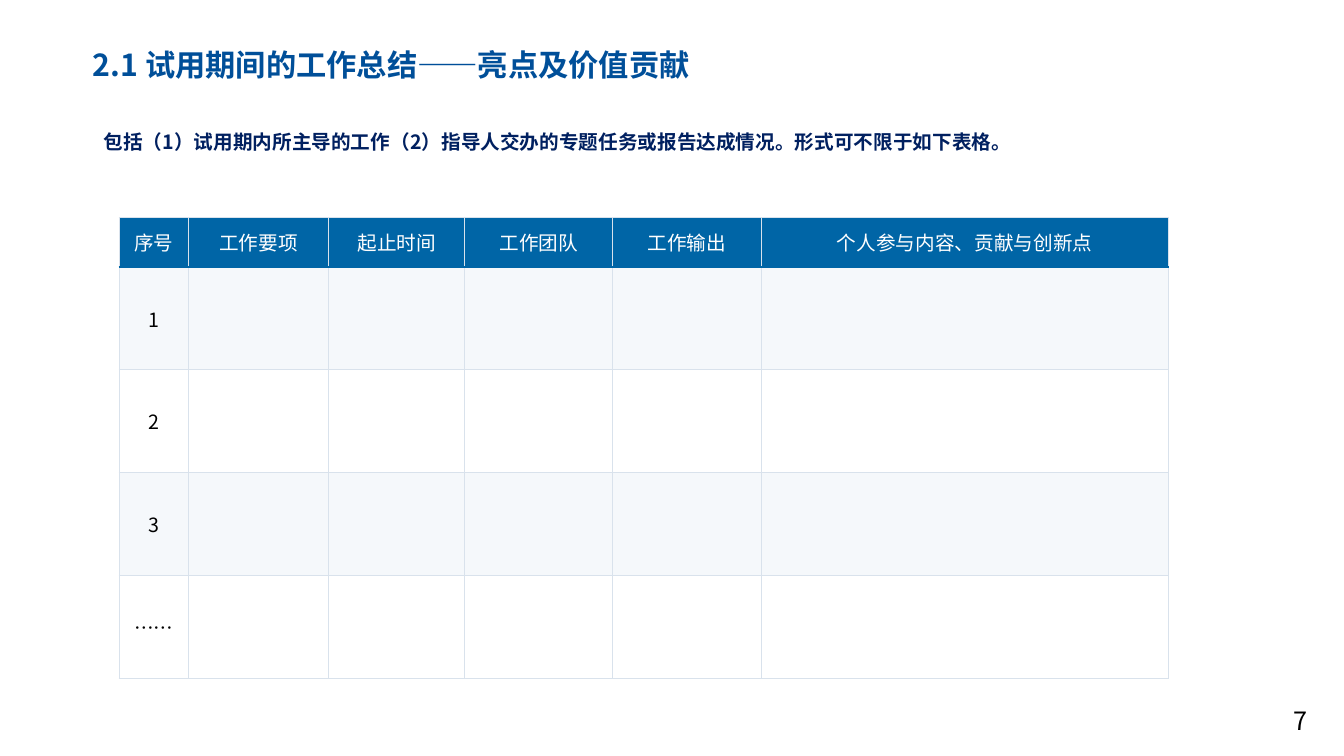
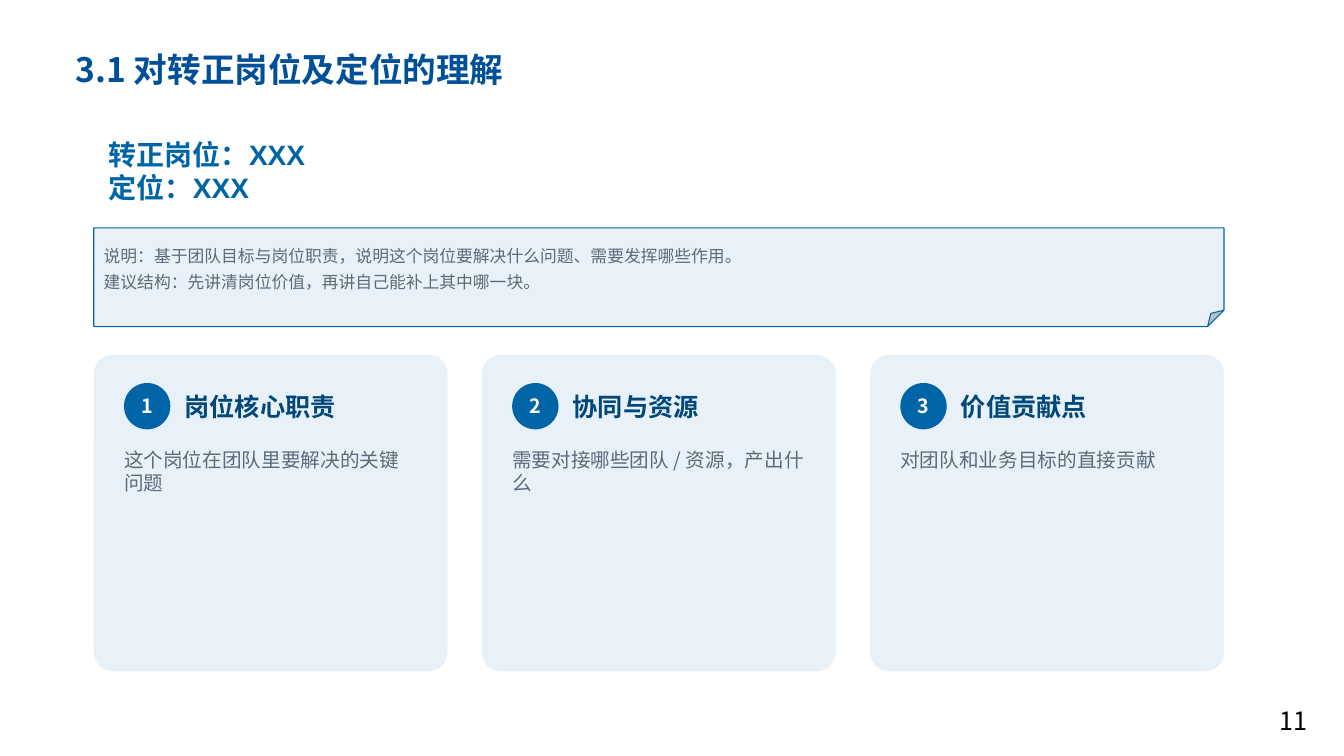
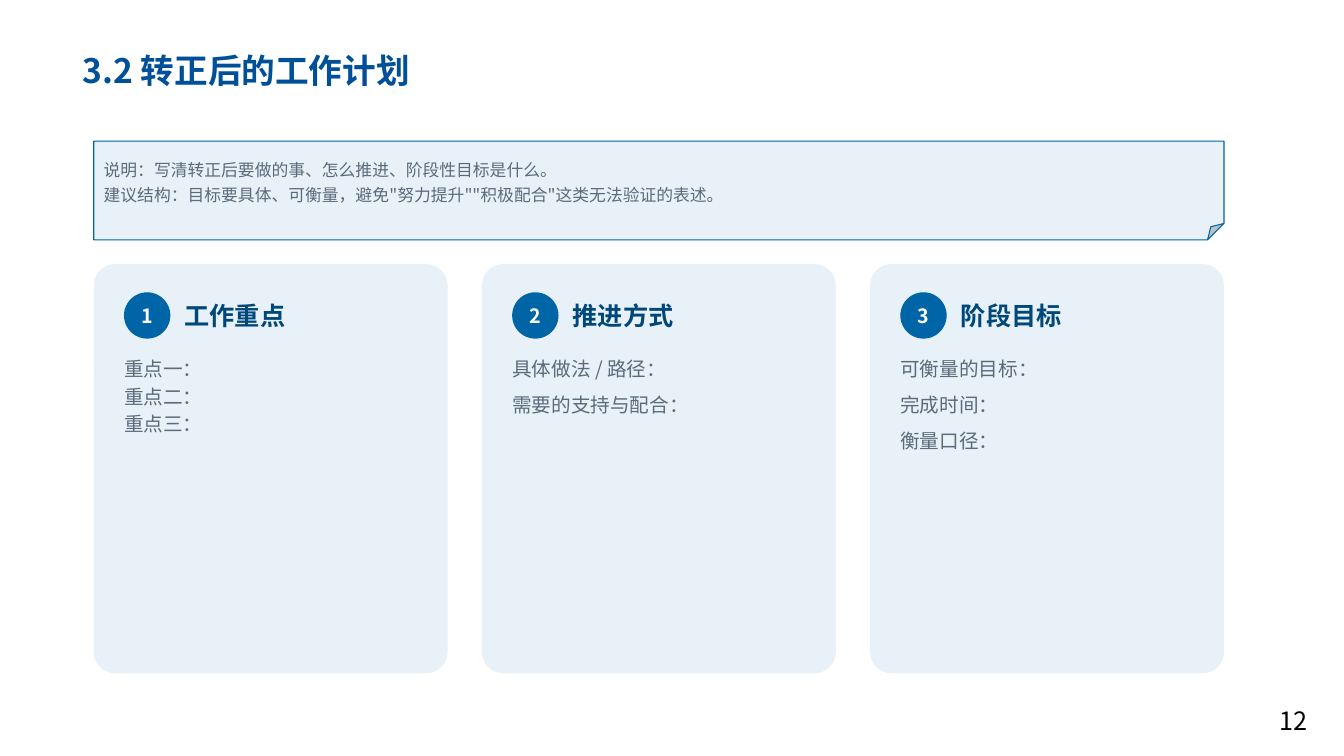
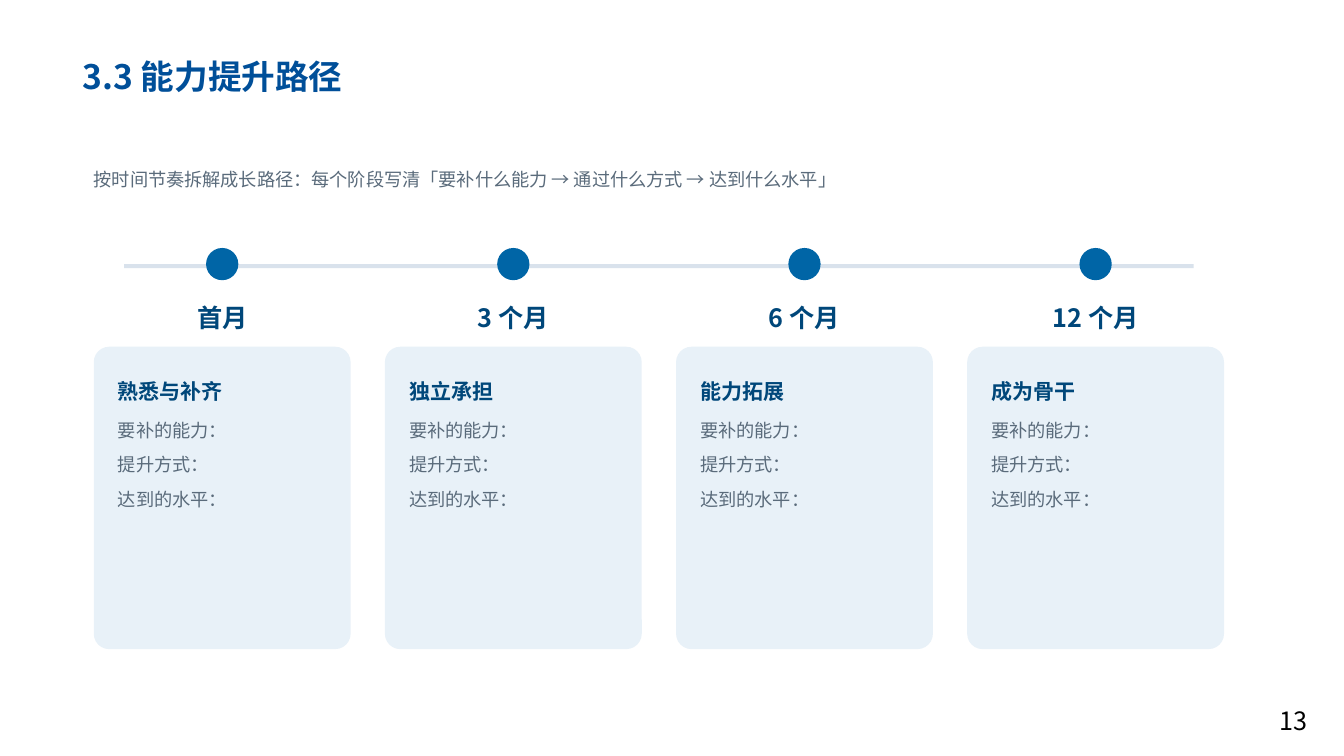
from lxml import etree
from pptx import Presentation
from pptx.dml.color import RGBColor
from pptx.enum.shapes import MSO_SHAPE
from pptx.enum.text import MSO_ANCHOR, MSO_AUTO_SIZE, PP_ALIGN
from pptx.oxml.ns import qn
from pptx.util import Inches, Pt

# Shared style
FONT = "Noto Sans CJK SC"
TITLE_BLUE = RGBColor(0x00, 0x4F, 0x99)
BLUE = RGBColor(0x00, 0x65, 0xA6)
DEEP_BLUE = RGBColor(0x00, 0x47, 0x7A)
NAVY = RGBColor(0x00, 0x20, 0x60)
PALE = RGBColor(0xE8, 0xF1, 0xF8)
STRIPE = RGBColor(0xF5, 0xF8, 0xFB)
RULE = RGBColor(0xD9, 0xE2, 0xEC)
GREY = RGBColor(0x5A, 0x6B, 0x7B)
BLACK = RGBColor(0, 0, 0)
WHITE = RGBColor(255, 255, 255)

LEFT, CENTER, RIGHT = PP_ALIGN.LEFT, PP_ALIGN.CENTER, PP_ALIGN.RIGHT
TOP, MIDDLE = MSO_ANCHOR.TOP, MSO_ANCHOR.MIDDLE
OVAL, RECT = MSO_SHAPE.OVAL, MSO_SHAPE.RECTANGLE
ROUNDED, FOLDED = MSO_SHAPE.ROUNDED_RECTANGLE, MSO_SHAPE.FOLDED_CORNER

# Content area and the gap between cards, in inches
MARGIN, CONTENT_WIDTH, GAP = 0.93, 11.21, 0.34


def write(frame, lines, size, color, bold=False, align=LEFT, gap=0, font=FONT):
    """Fill a text frame with one paragraph per line."""
    frame.text = "\n".join(lines)
    for index, para in enumerate(frame.paragraphs):
        para.alignment = align
        if index and gap:
            para.space_before = Pt(gap)
        for span in para.runs:
            span.font.name = font
            span.font.size = Pt(size)
            span.font.bold = bold
            span.font.color.rgb = color
            east_asian = etree.SubElement(span.font._element, qn("a:ea"))
            east_asian.set("typeface", FONT)


def add_text(page, box, lines, size, color, anchor=TOP, inset=0, **style):
    frame = page.shapes.add_textbox(*map(Inches, box)).text_frame
    frame.word_wrap = True
    frame.vertical_anchor = anchor
    frame.margin_left = frame.margin_right = Inches(inset)
    frame.margin_top = frame.margin_bottom = Inches(inset / 2)
    write(frame, lines, size, color, **style)


def add_block(page, kind, box, fill, line=None):
    block = page.shapes.add_shape(kind, *map(Inches, box))
    block.shadow.inherit = False
    block.fill.solid()
    block.fill.fore_color.rgb = fill
    if line is None:
        block.line.fill.background()
    else:
        block.line.color.rgb = line
        block.line.width = Pt(0.75)
    if kind == ROUNDED:
        block.adjustments[0] = 0.06
    return block


def add_page(deck, title, box, number, size=24):
    """Start a slide with its title and page number."""
    page = deck.slides.add_slide(deck.slide_layouts[5])
    heading = page.shapes.title
    heading.left, heading.top, heading.width, heading.height = map(Inches, box)
    frame = heading.text_frame
    frame.auto_size = MSO_AUTO_SIZE.NONE
    frame.vertical_anchor = MIDDLE
    write(frame, [title], size, TITLE_BLUE, bold=True)
    frame.paragraphs[0].line_spacing = 0.9
    add_text(page, (10.07, 6.95, 3, 0.4), [str(number)], 18, BLACK,
             inset=0.1, align=RIGHT)
    return page


def add_note(page, top, lines):
    note = add_block(page, FOLDED, (MARGIN, top, CONTENT_WIDTH, 0.98), PALE, BLUE)
    note.text_frame.vertical_anchor = MIDDLE
    write(note.text_frame, lines, 12, GREY, gap=4)


def columns(count):
    """Return the left edges and the width of equal columns."""
    width = (CONTENT_WIDTH - GAP * (count - 1)) / count
    return [MARGIN + index * (width + GAP) for index in range(count)], width


def add_numbered_card(page, box, number, heading, lines, gap):
    left, top, width, height = box
    pad, badge_size = 0.3, 0.46
    add_block(page, ROUNDED, box, PALE)
    badge = add_block(page, OVAL, (left + pad, top + 0.28, badge_size, badge_size), BLUE)
    frame = badge.text_frame
    frame.margin_left = frame.margin_right = 0
    frame.margin_top = frame.margin_bottom = 0
    frame.vertical_anchor = MIDDLE
    write(frame, [str(number)], 14, WHITE, bold=True, align=CENTER)
    add_text(page, (left + 0.9, top + 0.28, width - 1.2, badge_size),
             [heading], 18, DEEP_BLUE, MIDDLE, bold=True)
    add_text(page, (left + pad, top + 0.92, width - 2 * pad, height - 1.22),
             lines, 14, GREY, gap=gap)


def add_card_row(page, top, height, cards):
    lefts, width = columns(len(cards))
    for number, (left, card) in enumerate(zip(lefts, cards), 1):
        add_numbered_card(page, (left, top, width, height), number, *card)


def add_stage(page, box, period, heading, lines):
    """Place a timeline dot, its period and the card below."""
    left, top, width, height = box
    dot, pad = 0.32, 0.24
    add_block(page, OVAL, (left + (width - dot) / 2, top, dot, dot), BLUE)
    add_text(page, (left, top + 0.48, width, 0.42), [period], 18, DEEP_BLUE,
             MIDDLE, bold=True, align=CENTER)
    add_block(page, ROUNDED, (left, top + 0.98, width, height - 0.98), PALE)
    add_text(page, (left + pad, top + 1.22, width - 2 * pad, 0.4), [heading],
             15, DEEP_BLUE, MIDDLE, bold=True)
    add_text(page, (left + pad, top + 1.7, width - 2 * pad, 2.1), lines,
             13, GREY, gap=9)


def set_borders(cell, bottom_color, bottom_width):
    properties = cell._tc.get_or_add_tcPr()
    sides = [("lnL", RULE, 0.75), ("lnR", RULE, 0.75), ("lnT", RULE, 0.75),
             ("lnB", bottom_color, bottom_width)]
    for index, (side, color, width) in enumerate(sides):
        line = etree.Element(qn("a:" + side), w=str(Pt(width)))
        fill = etree.SubElement(line, qn("a:solidFill"))
        etree.SubElement(fill, qn("a:srgbClr"), val=str(color))
        properties.insert(index, line)


def add_work_table(page, left, top, widths, heights, rows):
    shape = page.shapes.add_table(len(rows), len(widths), Inches(left), Inches(top),
                                  Inches(sum(widths)), Inches(sum(heights)))
    table = shape.table
    for column, width in zip(table.columns, widths):
        column.width = Inches(width)
    for index, (row, height, texts) in enumerate(zip(table.rows, heights, rows)):
        row.height = Inches(height)
        header = index == 0
        fill = BLUE if header else STRIPE if index % 2 else WHITE
        for cell, text in zip(row.cells, texts):
            cell.fill.solid()
            cell.fill.fore_color.rgb = fill
            cell.vertical_anchor = MIDDLE
            cell.margin_left = cell.margin_right = Inches(0.04)
            write(cell.text_frame, [text], 14, WHITE if header else BLACK, align=CENTER)
            # The line under the header is shared with the first body row
            set_borders(cell, BLUE if header else RULE, 1.5 if header else 0.75)
            if index == 1:
                top_line = cell._tc.tcPr.find(qn("a:lnT"))
                top_line.set("w", str(Pt(1.5)))
                top_line[0][0].set("val", str(BLUE))


def build_highlights(deck):
    page = add_page(deck, "2.1 试用期间的工作总结——亮点及价值贡献",
                    (0.82, 0.44, 7.71, 0.45), 7, 21.6)
    header = ["序号", "工作要项", "起止时间", "工作团队", "工作输出",
              "个人参与内容、贡献与创新点"]
    body = [[label] + [""] * 5 for label in ("1", "2", "3", "……")]
    add_work_table(page, 1.18, 2.16, [0.69, 1.39, 1.35, 1.47, 1.47, 4.04],
                   [0.49] + [1.02] * 4, [header] + body)
    add_text(page, (MARGIN, 1.24, 9.24, 0.34),
             ["包括（1）试用期内所主导的工作（2）指导人交办的专题任务或报告达成情况。"
              "形式可不限于如下表格。"], 14, NAVY, inset=0.1, bold=True)


def build_position(deck):
    page = add_page(deck, "3.1 对转正岗位及定位的理解", (0.65, 0.07, 7.71, 1.29), 11)
    add_text(page, (0.98, 1.31, 7.8, 1.11), ["转正岗位：XXX", "定位：XXX"],
             20, BLUE, inset=0.1, bold=True, font="Arial")
    add_note(page, 2.26, [
        "说明：基于团队目标与岗位职责，说明这个岗位要解决什么问题、需要发挥哪些作用。",
        "建议结构：先讲清岗位价值，再讲自己能补上其中哪一块。"])
    add_card_row(page, 3.52, 3.14, [
        ("岗位核心职责", ["这个岗位在团队里要解决的关键问题"], 0),
        ("协同与资源", ["需要对接哪些团队 / 资源，产出什么"], 0),
        ("价值贡献点", ["对团队和业务目标的直接贡献"], 0)])


def build_plan(deck):
    page = add_page(deck, "3.2 转正后的工作计划", (0.72, 0.08, 7.71, 1.29), 12)
    add_note(page, 1.4, [
        "说明：写清转正后要做的事、怎么推进、阶段性目标是什么。",
        '建议结构：目标要具体、可衡量，避免"努力提升""积极配合"这类无法验证的表述。'])
    add_card_row(page, 2.62, 4.06, [
        ("工作重点", ["重点一：", "重点二：", "重点三："], 3),
        ("推进方式", ["具体做法 / 路径：", "需要的支持与配合："], 9),
        ("阶段目标", ["可衡量的目标：", "完成时间：", "衡量口径："], 9)])


def build_growth(deck):
    page = add_page(deck, "3.3 能力提升路径", (0.72, 0.13, 7.71, 1.29), 13)
    add_text(page, (MARGIN, 1.62, CONTENT_WIDTH, 0.32),
             ["按时间节奏拆解成长路径：每个阶段写清「要补什么能力 → 通过什么方式 → "
              "达到什么水平」"], 13, GREY, MIDDLE)
    add_block(page, RECT, (MARGIN + 0.3, 2.62, CONTENT_WIDTH - 0.6, 0.04), RULE)
    stages = [("首月", "熟悉与补齐"), ("3 个月", "独立承担"),
              ("6 个月", "能力拓展"), ("12 个月", "成为骨干")]
    prompts = ["要补的能力：", "提升方式：", "达到的水平："]
    lefts, width = columns(len(stages))
    for left, (period, heading) in zip(lefts, stages):
        add_stage(page, (left, 2.46, width, 3.98), period, heading, prompts)


def main():
    deck = Presentation()
    deck.slide_width, deck.slide_height = Inches(13.33), Inches(7.5)
    for build in (build_highlights, build_position, build_plan, build_growth):
        build(deck)
    deck.save("out.pptx")


if __name__ == "__main__":
    main()
